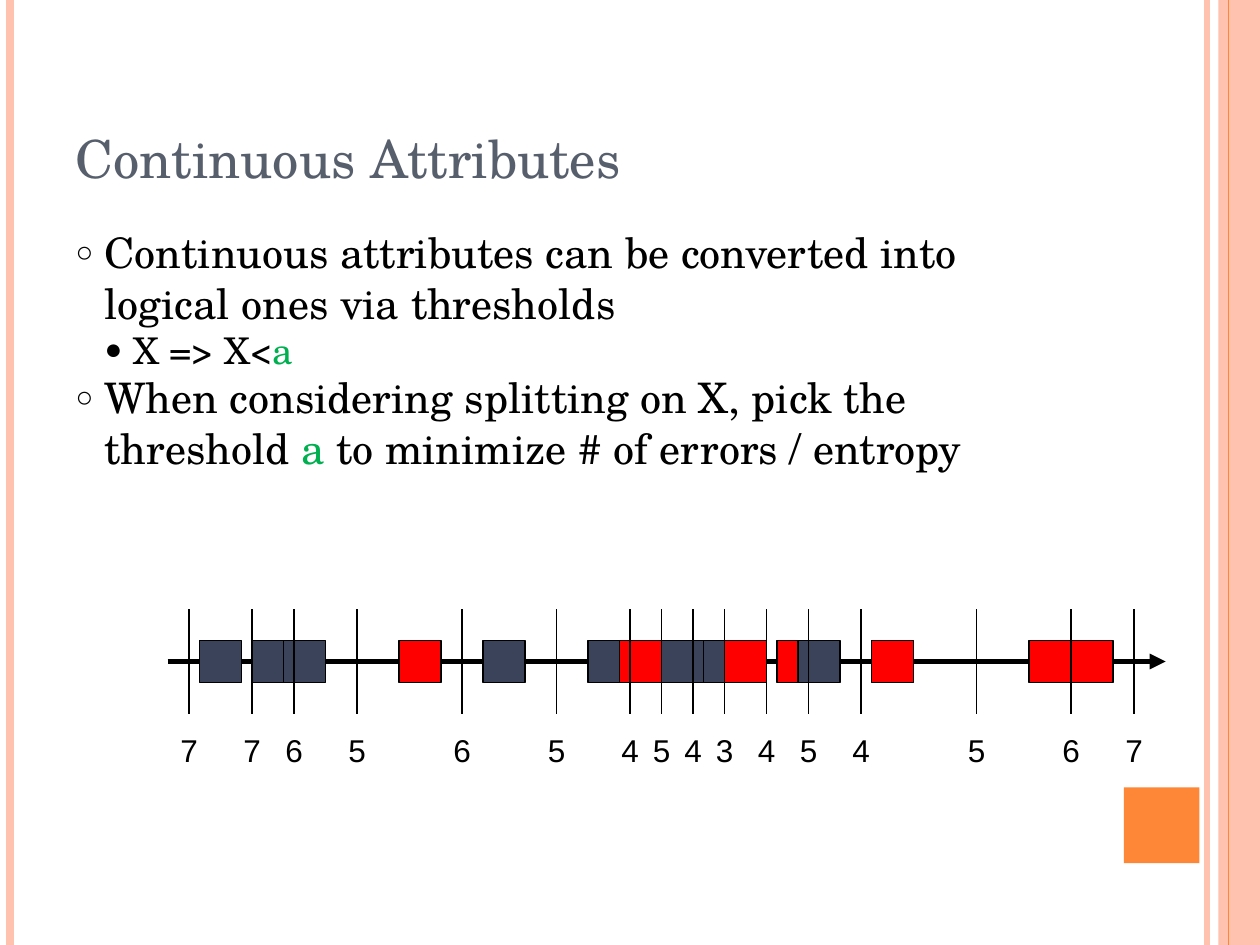
from lxml.etree import SubElement
from pptx import Presentation
from pptx.dml.color import RGBColor
from pptx.enum.shapes import MSO_CONNECTOR, MSO_SHAPE
from pptx.enum.text import MSO_ANCHOR, MSO_AUTO_SIZE, PP_ALIGN
from pptx.oxml.ns import qn
from pptx.util import Inches, Pt

SERIF = "TeX Gyre Schola"
BLACK, NAVY, RED, GREEN = "000000", "3B435B", "FF0000", "00B050"
PEACH, ORANGE, SLATE = "FEC2AE", "FE8637", "575F6D"

UNIT = 1 / 12  # the number line is laid out on a grid of twelfths of an inch
AXIS_Y = 5.25
SAMPLES = [  # left edge in grid units, class colour; later ones overlap earlier
    (19, NAVY), (24, NAVY), (27, NAVY), (38, RED), (46, NAVY),
    (66, NAVY), (74, RED), (56, NAVY), (59, RED), (83, RED),
    (76, NAVY), (98, RED), (102, RED), (69, RED), (63, NAVY),
]
THRESHOLDS = [  # position in grid units, number of errors
    (18, 7), (24, 7), (28, 6), (34, 5), (44, 6), (53, 5), (60, 4), (63, 5),
    (66, 4), (69, 3), (73, 4), (77, 5), (82, 4), (93, 5), (102, 6), (108, 7),
]
BULLETS = [  # level, runs of text and colour
    (0, [("Continuous attributes can be converted into logical ones via thresholds", BLACK)]),
    (1, [("X => X<", BLACK), ("a", GREEN)]),
    (0, [("When considering splitting on X, pick the threshold ", BLACK),
         ("a", GREEN), (" to minimize # of errors / entropy", BLACK)]),
]
BULLET_STYLES = [("○", 70, 24), ("●", 80, 21)]  # character, percent, text size
INDENT = 0.23


def rgb(value):
    return RGBColor.from_string(value)


def add_span(para, text, size=18, font=SERIF, color=BLACK):
    span = para.add_run()
    span.text = text
    span.font.size = Pt(size)
    span.font.name = font
    span.font.color.rgb = rgb(color)


def place(shape, left, top, width, height):
    shape.left, shape.top = Inches(left), Inches(top)
    shape.width, shape.height = Inches(width), Inches(height)


def add_line(page, start, end, color=BLACK, width=0.75, arrow=False):
    points = [Inches(value) for value in (*start, *end)]
    line = page.shapes.add_connector(MSO_CONNECTOR.STRAIGHT, *points)
    line.line.color.rgb = rgb(color)
    line.line.width = Pt(width)
    if arrow:
        SubElement(line.line._get_or_add_ln(), qn("a:tailEnd"), type="triangle")
    SubElement(line._element.spPr, qn("a:effectLst"))


def add_box(page, left, top, width, height, fill, outline=None):
    box = page.shapes.add_shape(
        MSO_SHAPE.RECTANGLE, *map(Inches, (left, top, width, height)))
    box.shadow.inherit = False
    box.fill.solid()
    box.fill.fore_color.rgb = rgb(fill)
    if outline:
        box.line.color.rgb = rgb(outline)
        box.line.width = Pt(0.75)
    else:
        box.line.fill.background()


def set_bullet(para, level):
    character, percent, _ = BULLET_STYLES[level]
    properties = para._p.get_or_add_pPr()
    properties.set("marL", str(Inches(INDENT * (level + 1))))
    properties.set("indent", str(-Inches(INDENT)))
    SubElement(properties, qn("a:buSzPct"), val=str(percent * 1000))
    SubElement(properties, qn("a:buFont"), typeface="Arial")
    SubElement(properties, qn("a:buChar"), char=character)


def add_frame(page):
    """Draw the coloured stripes and the square at the page edges."""
    add_box(page, 9.67, 0, 0.33, 7.5, PEACH)
    for x, color, width in [(9.58, PEACH, 3), (0.08, PEACH, 4.5),
                            (9.75, ORANGE, 0.75)]:
        add_line(page, (x, 0), (x, 7.5), color, width)
    add_box(page, 8.92, 6.25, 0.6, 0.6, ORANGE)


def fill_title(title):
    place(title, 0.5, 0.3, 8.17, 1.25)
    frame = title.text_frame
    frame.auto_size = MSO_AUTO_SIZE.NONE
    frame.vertical_anchor = MSO_ANCHOR.BOTTOM
    frame.paragraphs[0].alignment = PP_ALIGN.LEFT
    add_span(frame.paragraphs[0], "Continuous Attributes", size=30, color=SLATE)


def fill_body(body):
    place(body, 0.5, 1.75, 8.17, 5.33)
    frame = body.text_frame
    frame.auto_size = MSO_AUTO_SIZE.NONE
    for index, (level, spans) in enumerate(BULLETS):
        para = frame.add_paragraph() if index else frame.paragraphs[0]
        para.level = level
        para.space_before = Pt(0)
        set_bullet(para, level)
        for text, color in spans:
            add_span(para, text, size=BULLET_STYLES[level][2], color=color)


def add_label(page, text, left, top):
    box = page.shapes.add_textbox(*map(Inches, (left, top, 0.42, 0.4)))
    box.text_frame.word_wrap = True
    add_span(box.text_frame.paragraphs[0], text, font="Arial")


def add_number_line(page):
    add_line(page, (1.33, AXIS_Y), (9.25, AXIS_Y), width=3, arrow=True)
    side = 4 * UNIT
    for position, color in SAMPLES:
        add_box(page, position * UNIT, AXIS_Y - side / 2, side, side, color, BLACK)
    for position, errors in THRESHOLDS:
        x = position * UNIT
        add_line(page, (x, AXIS_Y + 5 * UNIT), (x, AXIS_Y - 5 * UNIT))
        add_label(page, str(errors), x - 2 * UNIT, 5.75)


def main():
    deck = Presentation()
    deck.slide_width, deck.slide_height = Inches(10), Inches(7.5)
    page = deck.slides.add_slide(deck.slide_layouts[1])
    add_frame(page)
    fill_title(page.shapes.title)
    fill_body(page.placeholders[1])
    add_number_line(page)
    deck.save("out.pptx")


if __name__ == "__main__":
    main()
